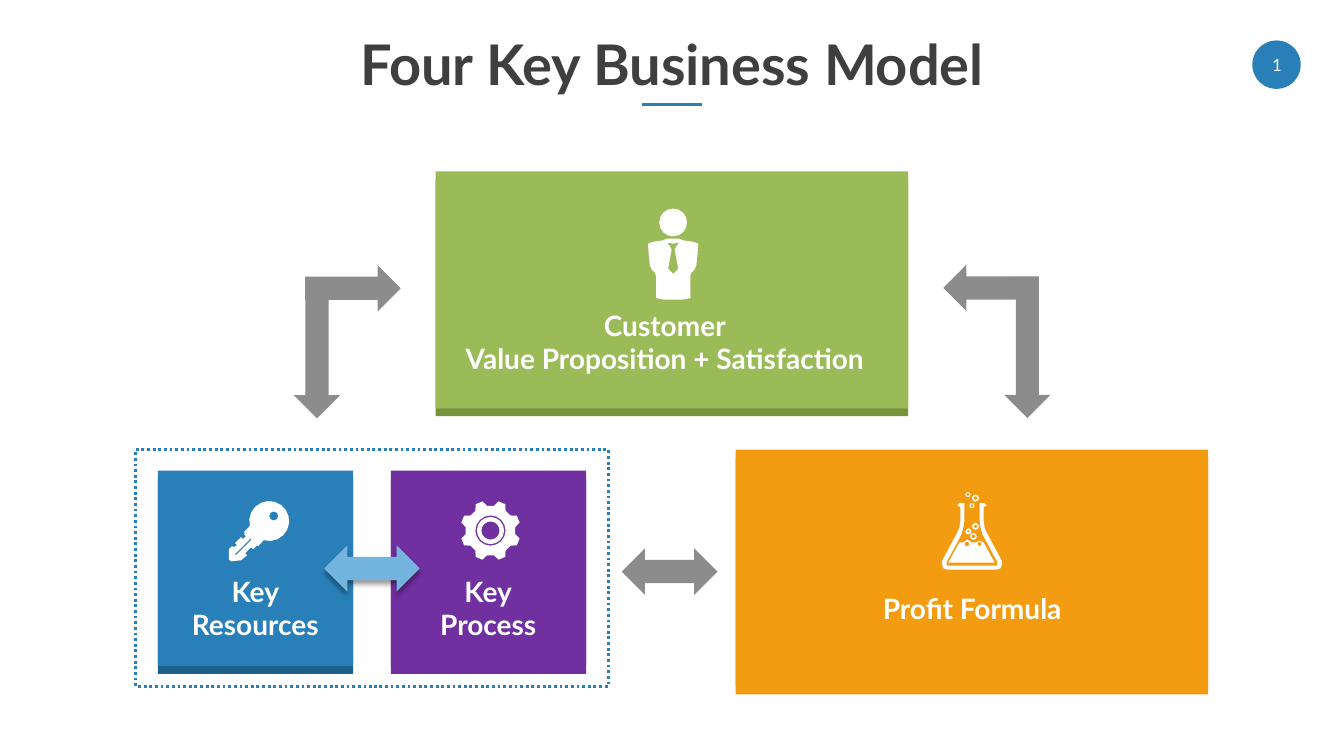
from math import cos, sin, radians

from lxml.etree import SubElement
from pptx import Presentation
from pptx.dml.color import RGBColor
from pptx.enum.dml import MSO_LINE
from pptx.enum.shapes import MSO_CONNECTOR, MSO_SHAPE as SHAPE
from pptx.enum.text import MSO_ANCHOR as ANCHOR, MSO_AUTO_SIZE, PP_ALIGN
from pptx.oxml.ns import qn
from pptx.util import Cm, Pt

rgb = RGBColor.from_string
BLUE, PURPLE, ORANGE, GRAY, WHITE = "2980B9", "7030A0", "F39C12", "8C8C8C", "FFFFFF"

prs = Presentation()
prs.slide_width, prs.slide_height = Cm(33.87), Cm(19.05)
s = prs.slides.add_slide(prs.slide_layouts[5])


def add_block(kind, x, y, w, h, color):
    sp = s.shapes.add_shape(kind, Cm(x), Cm(y), Cm(w), Cm(h))
    sp.shadow.inherit = False
    sp.fill.solid()
    sp.fill.fore_color.rgb = rgb(color)
    sp.line.fill.background()
    return sp


def add_icon(x, y, outlines, circles):
    """Draw a white icon; inner contours become holes. Grid unit: 0.0254 cm."""
    fine = 20
    contours = list(outlines)
    for cx, cy, r in circles:
        step = 60 if r < 3 else 45 if r < 6 else 22.5
        contours.append([(cx + r * cos(radians(i * step)), cy + r * sin(radians(i * step)))
                         for i in range(int(360 / step))])
    fb = s.shapes.build_freeform(scale=Cm(0.0254) / fine)
    for contour in contours:
        pts = [(round(px * fine), round(py * fine)) for px, py in contour]
        fb.move_to(*pts[0])
        fb.add_line_segments(pts[1:], close=True)
    sp = fb.convert_to_shape(Cm(x), Cm(y))
    sp.shadow.inherit = False
    sp.fill.solid()
    sp.fill.fore_color.rgb = rgb(WHITE)
    sp.line.fill.background()


# Title with its underline
title = s.shapes.title
title.left, title.top, title.width, title.height = Cm(2.33), Cm(0.51), Cm(29.21), Cm(2.39)
tf = title.text_frame
tf.text = "Four Key Business Model"
tf.vertical_anchor = ANCHOR.MIDDLE
p = tf.paragraphs[0]
p.alignment, p.line_spacing = PP_ALIGN.CENTER, 0.9
p.font.name, p.font.size, p.font.bold = "Lato", Pt(40), True
p.font.color.rgb = rgb("3F3F3F")

underline = s.shapes.add_connector(MSO_CONNECTOR.STRAIGHT, Cm(16.18), Cm(2.64), Cm(17.68), Cm(2.64))
underline.line.color.rgb = rgb(BLUE)
underline.line.width = Pt(2)
SubElement(underline._element.spPr, qn("a:effectLst"))

# Page number badge
add_block(SHAPE.OVAL, 31.56, 1.02, 1.22, 1.22, BLUE)

# Dotted frame around resources and process
frame = add_block(SHAPE.RECTANGLE, 3.42, 11.33, 11.91, 5.97, WHITE)
frame.fill.background()
frame.line.color.rgb = rgb(BLUE)
frame.line.width = Pt(2)
frame.line.dash_style = MSO_LINE.ROUND_DOT

# Cards, each over a lower edge
for x, y, w, h, edge, face in [
    (3.98, 11.86, 4.92, 4.92, "1F608B", BLUE),
    (9.85, 11.86, 4.92, 4.92, PURPLE, PURPLE),
    (18.54, 11.33, 11.91, 5.97, ORANGE, ORANGE),
    (10.98, 4.32, 11.91, 5.97, "77933C", "9BBB59"),
]:
    add_block(SHAPE.RECTANGLE, x, y + 0.2, w, h, edge)
    add_block(SHAPE.RECTANGLE, x, y, w, h, face)

# Labels on the small cards
labels = [
    (4.01, 14.34, 4.85, 1.96, 20, ["Key", "Resources"]),
    (9.88, 14.34, 4.85, 1.96, 20, ["Key", "Process"]),
    (21.44, 14.78, 6.12, 1.12, 20, ["Profit Formula"]),
    (11, 7.64, 11.51, 1.96, 20, ["Customer", "Value Proposition + Satisfaction"]),
    (31.29, 1.13, 1.78, 1.02, 12, ["1"]),
]
for x, y, w, h, size, lines in labels:
    tf = s.shapes.add_textbox(Cm(x), Cm(y), Cm(w), Cm(h)).text_frame
    tf.word_wrap = True
    if size == 20:
        tf.auto_size = MSO_AUTO_SIZE.SHAPE_TO_FIT_TEXT
    else:
        tf.vertical_anchor = ANCHOR.MIDDLE
    tf.text = "\n".join(lines)
    for p in tf.paragraphs:
        p.alignment = PP_ALIGN.CENTER
        p.font.name, p.font.size, p.font.bold = "Lato", Pt(size), size == 20
        p.font.color.rgb = rgb(WHITE)

# Arrows
link = add_block(SHAPE.LEFT_RIGHT_ARROW, 8.17, 13.74, 2.41, 1.17, "74B5E0")
effects = link._element.spPr.find(qn("a:effectLst"))
shadow = SubElement(effects, qn("a:outerShdw"), blurRad="50800", dist="38100",
                    dir="5400000", algn="t", rotWithShape="0")
black = SubElement(shadow, qn("a:srgbClr"), val="000000")
SubElement(black, qn("a:alpha"), val="40000")

add_block(SHAPE.LEFT_RIGHT_ARROW, 15.67, 13.82, 2.41, 1.17, GRAY)
for x, y, length, turn in [(7.69, 6.68, 2.41, 0), (6.21, 8.18, 3.56, 90),
                           (23.77, 6.67, 2.41, 180), (24.11, 8.17, 3.56, 90)]:
    add_block(SHAPE.RIGHT_ARROW, x, y, length, 1.17, GRAY).rotation = turn

# Key icon: round bow, toothed shaft, slot and hole
bow = [(40 + 19.8 * cos(radians(a)), 22 + 19.8 * sin(radians(a))) for a in range(166, 467, 20)]
shaft = [(29, 47), (28, 46), (24, 50), (22, 48), (16, 54), (18, 56), (12, 61), (2, 62), (0, 60),
         (0, 50), (3, 47), (5, 48), (8, 46), (6, 44), (12, 38), (14, 40), (17, 37), (15, 35),
         (16, 34), (15, 33)]
slot = [(7, 56), (6, 55), (22, 39), (22, 41)]
add_icon(5.77, 12.57, [bow + shaft, slot], [(44.5, 17, 4.5)])

# Gear icon: eight notches and three rings
notch = [(-15.5, 30), (-8, 24.8), (8, 24.8), (15.5, 30)]
gear = [(30 + r * cos(radians(a + turn)), 29.5 + r * sin(radians(a + turn)))
        for turn in range(0, 360, 45) for a, r in notch]
add_icon(11.6, 12.62, [gear], [(30, 29.5, r) for r in (15, 13.5, 9)])

# Businessman icon: mirrored body and tie
half_body = [(19, 30), (14, 32), (6, 33), (0, 35), (1, 48), (2, 57), (4, 61),
             (7, 64), (8, 67), (8, 89), (16, 90.5)]
half_tie = [(25, 35), (19, 34), (22, 38), (23.5, 41), (20, 60), (25, 65)]
person = [half + [(50 - x, y) for x, y in reversed(half) if x != 25]
          for half in (half_body, half_tie)]
add_icon(16.33, 5.25, person, [(25, 14, 13.8)])

# Flask icon: glass, liquid and bubbles
half_glass = [(6, 77), (2, 75.5), (0.5, 71), (1, 68), (16, 40), (18, 35),
              (19, 28), (19, 15), (16, 13), (18, 11), (23, 11), (23, 28), (22, 35),
              (20, 42), (5, 70), (6, 73), (30.5, 73)]
glass = half_glass + [(61 - x, y) for x, y in reversed(half_glass[:-1])]
liquid = [(18, 50), (22, 50), (26, 47), (30, 50), (35, 50), (38, 48), (42, 50), (53, 70), (7, 70)]
bubbles = [(38, 51.5, 2), (25.5, 51.5, 2.5)]
for x, y, outer, inner in [(32, 44, 3.4, 2), (34, 34, 3.4, 1.8), (34, 6, 3.5, 2),
                           (27, 39, 3, 1.3), (26.5, 2.5, 2.6, 1.5), (30.5, 13.5, 2.6, 1.5)]:
    bubbles += [(x, y, outer), (x, y, inner)]
add_icon(23.72, 12.4, [glass, liquid], bubbles)

prs.save("out.pptx")
